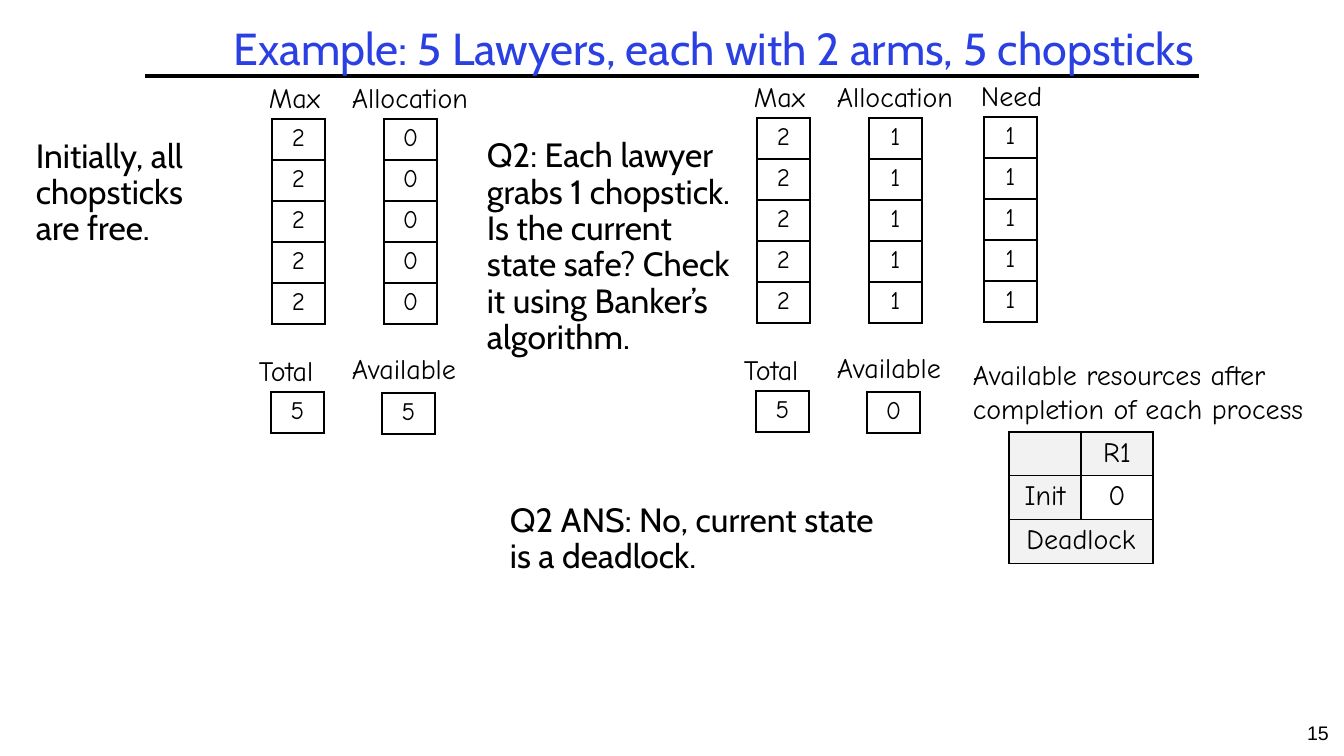
"""Build the slide on five lawyers, two arms each and five chopsticks."""
from lxml import etree
from pptx import Presentation, util as u
from pptx.dml.color import RGBColor
from pptx.enum import shapes, text
from pptx.oxml.ns import qn

PX = 914400 / 100.8
SLIDE_SIZE = (1344, 756)
COLORS = {"black": "000000", "title": "2A40E2", "header": "F2F2F2"}
BODY_FONT, LABEL_FONT, NUMBER_FONT = "Cabin", "Comic Neue", "Arial"

TITLE = ("Example: 5 Lawyers, each with 2 arms, 5 chopsticks", (219, -12, 991, 126))
TITLE_RULE = (145, 76, 1199, 76)
SLIDE_NUMBER = ("15", (1293, 716, 50, 40))
NOTES = [
    ("Initially, all chopsticks are free.", (26, 134, 214, 126)),
    ("Q2: Each lawyer grabs 1 chopstick. Is the current state safe? "
     "Check it using Banker’s algorithm.", (477, 134, 279, 244)),
    ("Q2 ANS: No, current state is a deadlock.", (500, 498, 390, 168)),
]
CAPTION = ("Available resources after completion of each process", (963, 353, 382, 78))

LABEL_HEIGHT, CELL_WIDTH, ROW_HEIGHT = 44, 53, 41
COLUMNS = {
    "Max": ((259, 76, 77), (272, 119)),
    "Allocation": ((342, 76, 151), (384, 119)),
    "Need": ((486, 75, 91), (499, 118)),
    "Total": ((249, 349, 90), (271, 392)),
    "Available": ((342, 347, 140), (382, 393)),
}
PANELS = [
    ((0, 0), {"Max": "22222", "Allocation": "00000", "Total": "5", "Available": "5"}),
    ((485, -1), {"Max": "22222", "Allocation": "11111", "Need": "11111",
                 "Total": "5", "Available": "0"}),
]
RESULT_ROWS = [["", "R1"], ["Init", "0"], ["Deadlock", ""]]
RESULT_POSITION, RESULT_CELL_WIDTH = (1009, 432), 72
RESULT_PLAIN_CELL = (1, 1)


def px(*lengths):
    return [u.Emu(round(length * PX)) for length in lengths]


def format_paragraph(paragraph, font, size, color="black", align=text.PP_ALIGN.LEFT):
    paragraph.alignment = align
    for run in paragraph.runs:
        run.font.name = font
        run.font.size = u.Pt(size)
        run.font.color.rgb = RGBColor.from_string(COLORS[color])


def add_text(slide, content, box, font, size, color="black", align=text.PP_ALIGN.LEFT,
             spacing=None, anchor=text.MSO_ANCHOR.TOP, wrap=True, grow=False):
    frame = slide.shapes.add_textbox(*px(*box)).text_frame
    frame.text = content
    frame.word_wrap = wrap
    frame.vertical_anchor = anchor
    frame.auto_size = text.MSO_AUTO_SIZE.SHAPE_TO_FIT_TEXT if grow else text.MSO_AUTO_SIZE.NONE
    paragraph = frame.paragraphs[0]
    paragraph.line_spacing = spacing
    format_paragraph(paragraph, font, size, color, align)


def add_borders(cell):
    properties = cell._tc.get_or_add_tcPr()
    for side in ("a:lnL", "a:lnR", "a:lnT", "a:lnB"):
        line = etree.SubElement(properties, qn(side), w=str(u.Pt(1)))
        fill = etree.SubElement(line, qn("a:solidFill"))
        etree.SubElement(fill, qn("a:srgbClr"), val=COLORS["black"])


def add_grid(slide, rows, left, top, cell_width, size, is_shaded=lambda row, column: False):
    row_count, column_count = len(rows), len(rows[0])
    frame = slide.shapes.add_table(row_count, column_count, *px(
        left, top, column_count * cell_width, row_count * ROW_HEIGHT))
    table = frame.table
    table.first_row = table.horz_banding = False
    for column in table.columns:
        column.width = px(cell_width)[0]
    for row_index, row in enumerate(rows):
        table.rows[row_index].height = px(ROW_HEIGHT)[0]
        for column_index, value in enumerate(row):
            cell = table.cell(row_index, column_index)
            cell.text = value
            format_paragraph(cell.text_frame.paragraphs[0], LABEL_FONT, size,
                             align=text.PP_ALIGN.CENTER)
            add_borders(cell)
            if is_shaded(row_index, column_index):
                cell.fill.solid()
                cell.fill.fore_color.rgb = RGBColor.from_string(COLORS["header"])
            else:
                cell.fill.background()
    return table


def add_panel(slide, offset, values):
    dx, dy = offset
    for name, digits in values.items():
        (label_left, label_top, label_width), (left, top) = COLUMNS[name]
        add_text(slide, name, (label_left + dx, label_top + dy, label_width, LABEL_HEIGHT),
                 LABEL_FONT, 20, wrap=False, grow=True)
        add_grid(slide, [[digit] for digit in digits], left + dx, top + dy, CELL_WIDTH, 18)


def main():
    presentation = Presentation()
    presentation.slide_width, presentation.slide_height = px(*SLIDE_SIZE)
    slide = presentation.slides.add_slide(presentation.slide_layouts[6])

    rule = slide.shapes.add_connector(shapes.MSO_CONNECTOR.STRAIGHT, *px(*TITLE_RULE))
    rule.line.color.rgb = RGBColor.from_string(COLORS["black"])
    rule.line.width = u.Pt(3)
    etree.SubElement(rule._element.spPr, qn("a:effectLst"))

    add_text(slide, *SLIDE_NUMBER, NUMBER_FONT, 14, align=text.PP_ALIGN.CENTER)
    add_text(slide, *TITLE, BODY_FONT, 32, "title", text.PP_ALIGN.CENTER, 0.9,
             text.MSO_ANCHOR.MIDDLE)
    for content, box in NOTES:
        add_text(slide, content, box, BODY_FONT, 24, spacing=0.9)
    for offset, values in PANELS:
        add_panel(slide, offset, values)

    add_text(slide, *CAPTION, LABEL_FONT, 20, grow=True)
    result = add_grid(slide, RESULT_ROWS, *RESULT_POSITION, RESULT_CELL_WIDTH, 20,
                      lambda row, column: (row, column) != RESULT_PLAIN_CELL)
    result.cell(2, 0).merge(result.cell(2, 1))
    presentation.save("out.pptx")


if __name__ == "__main__":
    main()
